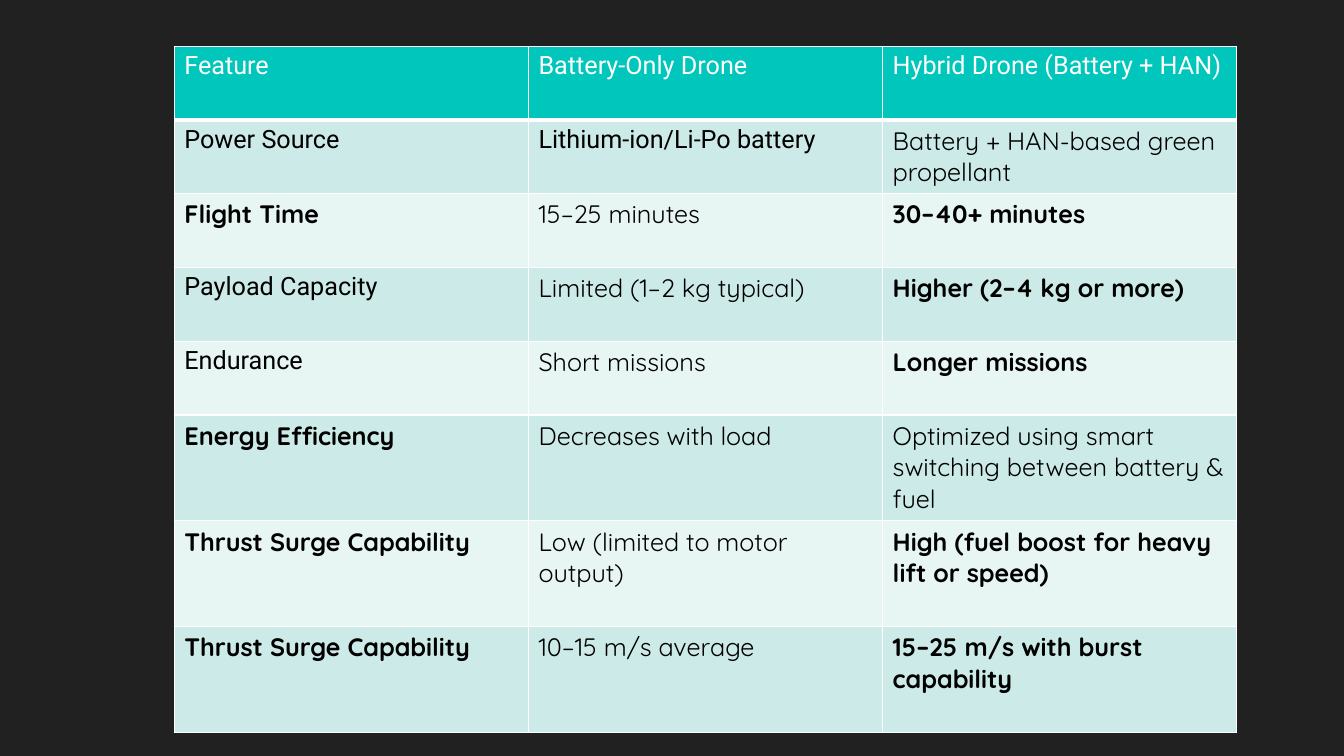
from lxml.etree import SubElement
from pptx import Presentation
from pptx.dml.color import RGBColor as Rgb
from pptx.oxml.ns import qn
from pptx.util import Pt

COLORS = {
    "page": "212121",
    "header": "00C6BB",
    "odd": "CCEAE7",
    "even": "E7F5F3",
    "border": "FFFFFF",
    "header_text": "FFFFFF",
    "text": "000000",
}
STYLES = {
    "header": {"name": "Roboto", "bold": False},
    "label": {"name": "Roboto", "bold": False},
    "plain": {"name": "Quicksand", "bold": False},
    "strong": {"name": "Quicksand", "bold": True},
}
COLUMN_WIDTH = 253
ROW_HEIGHTS = [52.7] * 5 + [75.6] * 3
ROWS = [
    [("Feature", "header"), ("Battery-Only Drone", "header"),
     ("Hybrid Drone (Battery + HAN)", "header")],
    [("Power Source", "label"), ("Lithium-ion/Li-Po battery", "label"),
     ("Battery + HAN-based green propellant", "plain")],
    [("Flight Time", "strong"), ("15–25 minutes", "plain"),
     ("30–40+ minutes", "strong")],
    [("Payload Capacity", "label"), ("Limited (1–2 kg typical)", "plain"),
     ("Higher (2–4 kg or more)", "strong")],
    [("Endurance", "label"), ("Short missions", "plain"),
     ("Longer missions", "strong")],
    [("Energy Efficiency", "strong"), ("Decreases with load", "plain"),
     ("Optimized using smart switching between battery & fuel", "plain")],
    [("Thrust Surge Capability", "strong"), ("Low (limited to motor output)", "plain"),
     ("High (fuel boost for heavy lift or speed)", "strong")],
    [("Thrust Surge Capability", "strong"), ("10–15 m/s average", "plain"),
     ("15–25 m/s with burst capability", "strong")],
]


def set_borders(cell, widths):
    properties = cell._tc.get_or_add_tcPr()
    for side, width in widths.items():
        line = SubElement(properties, qn(f"a:ln{side}"), w=str(Pt(width)))
        fill = SubElement(line, qn("a:solidFill"))
        SubElement(fill, qn("a:srgbClr"), val=COLORS["border"])


def write_cell(cell, text, style, row_index):
    header = row_index == 0
    set_borders(cell, {"L": 1, "R": 1, "T": 3 if row_index == 1 else 1,
                       "B": 3 if header else 1})
    band = "header" if header else "odd" if row_index % 2 else "even"
    cell.fill.solid()
    cell.fill.fore_color.rgb = Rgb.from_string(COLORS[band])
    span = cell.text_frame.paragraphs[0].add_run()
    span.text = text
    for attribute, value in {"size": Pt(18), **STYLES[style]}.items():
        setattr(span.font, attribute, value)
    color = COLORS["header_text" if header else "text"]
    span.font.color.rgb = Rgb.from_string(color)


def add_comparison(page):
    column_count = len(ROWS[0])
    table = page.shapes.add_table(
        len(ROWS), column_count, Pt(124.5), Pt(33),
        Pt(COLUMN_WIDTH * column_count), Pt(sum(ROW_HEIGHTS))).table
    for column in table.columns:
        column.width = Pt(COLUMN_WIDTH)
    for row_index, (height, entries) in enumerate(zip(ROW_HEIGHTS, ROWS)):
        table.rows[row_index].height = Pt(height)
        for column_index, (text, style) in enumerate(entries):
            write_cell(table.cell(row_index, column_index), text, style, row_index)


def main():
    """Build the slide comparing battery-only and hybrid drones."""
    deck = Presentation()
    deck.slide_width, deck.slide_height = Pt(960), Pt(540)
    page = deck.slides.add_slide(deck.slide_layouts[6])
    page.background.fill.solid()
    page.background.fill.fore_color.rgb = Rgb.from_string(COLORS["page"])
    add_comparison(page)
    deck.save("out.pptx")


if __name__ == "__main__":
    main()
